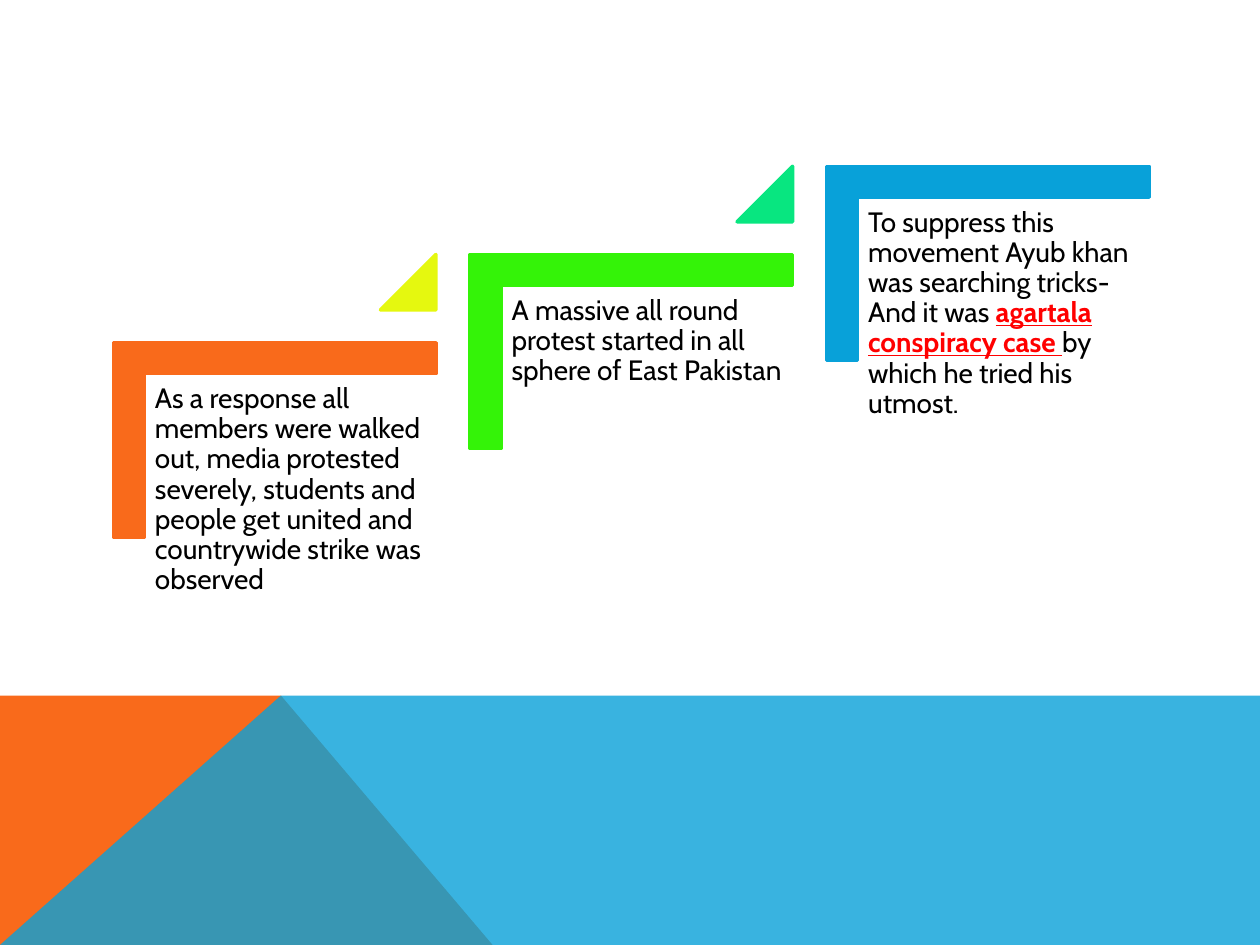
from dataclasses import dataclass

from lxml import etree
from pptx import Presentation
from pptx import util as u
from pptx.dml.color import RGBColor
from pptx.enum import shapes, text
from pptx.oxml import ns

ORANGE = RGBColor(0xF9, 0x6A, 0x1B)
GREEN = RGBColor(0x34, 0xF3, 0x08)
BLUE = RGBColor(0x08, 0xA1, 0xD9)
YELLOW = RGBColor(0xE5, 0xF8, 0x0F)
MINT = RGBColor(0x08, 0xE6, 0x80)
RED = RGBColor(0xFF, 0x00, 0x00)
BLACK = RGBColor(0x00, 0x00, 0x00)

# The page is a grid of square cells.
COLUMNS, ROWS = 1000, 750
CELL = u.Inches(0.01)
FONT = "Cabin"
STEP_COLUMNS, STEP_ROWS = 283, -70

STEPS = [
    (ORANGE, YELLOW, [
        ("As a response all members were walked out, media protested severely, "
         "students and people get united and countrywide strike was observed", {})]),
    (GREEN, MINT, [
        ("A massive all round protest started in all sphere of East Pakistan", {})]),
    (BLUE, None, [
        ("To suppress this movement Ayub khan was searching tricks- And it was ", {}),
        ("agartala conspiracy case ", {"color": RED, "bold": True, "underline": True}),
        ("by which he tried his utmost.", {})]),
]


@dataclass
class Box:
    """An area in grid columns and rows."""
    left: float
    top: float
    width: float
    height: float

    def inner(self, left, top, width, height):
        return Box(self.left + left, self.top + top, width, height)

    def turned(self):
        """The unrotated frame that fills this box after a quarter turn."""
        shift = (self.width - self.height) / 2
        return Box(self.left + shift, self.top - shift, self.height, self.width)

    def emu(self):
        return [round(side * CELL)
                for side in (self.left, self.top, self.width, self.height)]


def add_span(para, words, size=16, color=BLACK, bold=False, underline=False):
    span = para.add_run()
    span.text = words
    font = span.font
    font.name, font.size = FONT, u.Pt(size)
    font.bold, font.underline = bold, underline
    font.color.rgb = color


def paint(shape, color, line_width=None, alpha=None):
    shape.shadow.inherit = False
    shape.fill.solid()
    shape.fill.fore_color.rgb = color
    if alpha is not None:
        tint = shape.fill._xPr.find(".//" + ns.qn("a:srgbClr"))
        etree.SubElement(tint, ns.qn("a:alpha"), val=str(alpha * 1000))
    if line_width:
        shape.line.color.rgb = color
        shape.line.width = u.Pt(line_width)
    else:
        shape.line.fill.background()


def add_polygon(page, box, points, color, alpha=None):
    corners = [(round((box.left + x) * CELL), round((box.top + y) * CELL))
               for x, y in points]
    builder = page.shapes.build_freeform(*corners[0])
    builder.add_line_segments(corners[1:], close=True)
    paint(builder.convert_to_shape(), color, alpha=alpha)


def add_footer(page, box):
    peak = (223, 0)
    low_left, low_right = (0, box.height), (box.width, box.height)
    add_polygon(page, box, [low_left, (0, 0), peak, (391, box.height)], ORANGE)
    add_polygon(page, box, [low_left, peak, (box.width, 0), low_right], BLUE, alpha=80)


def add_text(page, box, spans):
    frame = page.shapes.add_textbox(*box.emu()).text_frame
    frame.word_wrap = True
    frame.vertical_anchor = text.MSO_ANCHOR.TOP
    frame.margin_left = frame.margin_right = u.Inches(0.07)
    frame.margin_top = frame.margin_bottom = u.Inches(0.07)
    para = frame.paragraphs[0]
    para.line_spacing = 0.9
    for words, style in spans:
        add_span(para, words, **style)


def add_step(page, box, color, marker_color, spans):
    kinds = shapes.MSO_SHAPE
    bracket = page.shapes.add_shape(kinds.CORNER, *box.turned().emu())
    bracket.rotation = 90
    bracket.adjustments[0] = bracket.adjustments[1] = 0.16
    paint(bracket, color, line_width=2)
    add_text(page, box.inner(26, 26, 231, 203), spans)
    if marker_color is not None:
        size = 44
        marker_box = box.inner(box.width - size, STEP_ROWS, size, size)
        marker = page.shapes.add_shape(kinds.ISOSCELES_TRIANGLE, *marker_box.emu())
        marker.adjustments[0] = 1
        paint(marker, marker_color, line_width=2)


def add_staircase(page, box):
    for index, (color, marker_color, spans) in enumerate(STEPS):
        step = box.inner(index * STEP_COLUMNS, index * STEP_ROWS, 256, 154)
        add_step(page, step, color, marker_color, spans)


def main():
    deck = Presentation()
    deck.slide_width, deck.slide_height = COLUMNS * CELL, ROWS * CELL
    page = deck.slides.add_slide(deck.slide_layouts[6])
    add_footer(page, Box(0, 552, COLUMNS, ROWS - 552))
    add_staircase(page, Box(90, 272, 822, 154))
    deck.save("out.pptx")


if __name__ == "__main__":
    main()
